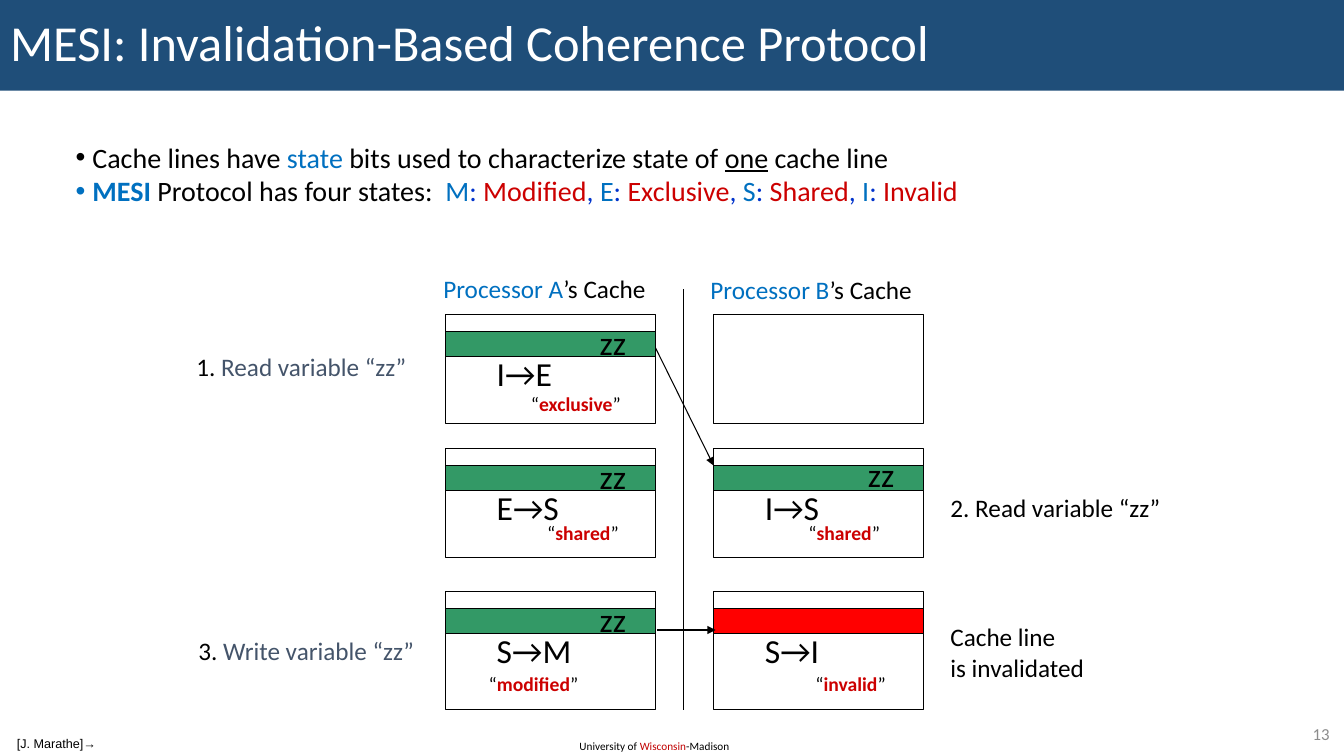
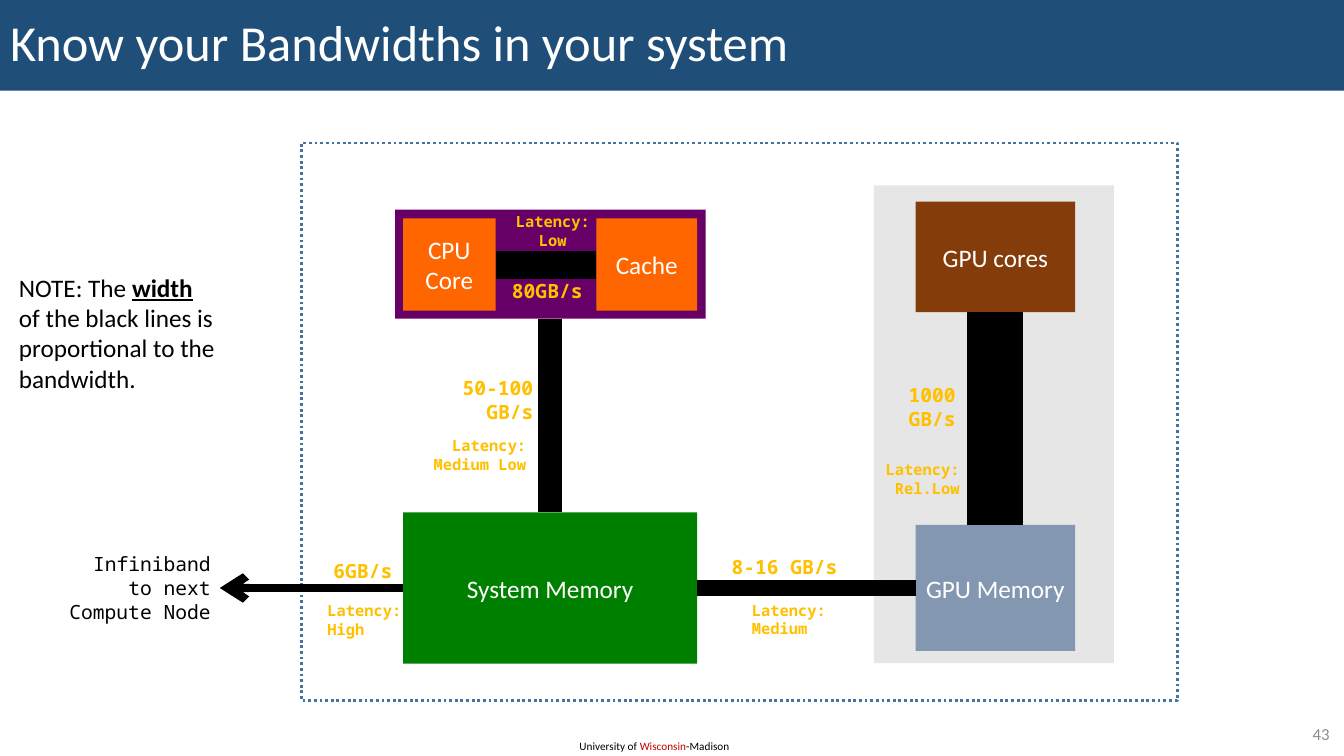
"""Build two lecture slides: the MESI protocol and system bandwidths."""
from lxml import etree
from pptx import Presentation
from pptx.dml.color import RGBColor
from pptx.enum import dml, shapes, text
from pptx.oxml import ns
from pptx.util import Pt

BLACK = RGBColor(0x00, 0x00, 0x00)
WHITE = RGBColor(0xFF, 0xFF, 0xFF)
NAVY = RGBColor(0x1F, 0x4E, 0x79)
BLUE = RGBColor(0x00, 0x70, 0xC0)
ROYAL = RGBColor(0x00, 0x33, 0xCC)
SLATE = RGBColor(0x44, 0x54, 0x6A)
CRIMSON = RGBColor(0xCC, 0x00, 0x00)
DARK_RED = RGBColor(0xC0, 0x00, 0x00)
RED = RGBColor(0xFF, 0x00, 0x00)
SEA_GREEN = RGBColor(0x33, 0x99, 0x66)
GREEN = RGBColor(0x00, 0x80, 0x00)
PURPLE = RGBColor(0x66, 0x00, 0x66)
ORANGE = RGBColor(0xFF, 0x66, 0x00)
BROWN = RGBColor(0x84, 0x3C, 0x0B)
STEEL = RGBColor(0x84, 0x97, 0xB0)
FRAME_BLUE = RGBColor(0x43, 0x73, 0x9E)
PALE_GRAY = RGBColor(0xE7, 0xE6, 0xE6)
GRAY = RGBColor(0x8C, 0x8C, 0x8C)
GOLD = RGBColor(0xFF, 0xC0, 0x00)
MONO = "Noto Sans Mono"
LEFT, CENTER, RIGHT = text.PP_ALIGN.LEFT, text.PP_ALIGN.CENTER, text.PP_ALIGN.RIGHT


def write(tf, lines, size, color=BLACK, font="Calibri", align=LEFT, bold=None, wrap=False):
    tf.word_wrap = wrap
    for i, line in enumerate(lines):
        p = tf.add_paragraph() if i else tf.paragraphs[0]
        p.alignment = align
        p.space_before = Pt(0)
        p.font.name, p.font.size, p.font.bold = font, Pt(size), bold
        p.font.color.rgb = color
        for run in [(line,)] if isinstance(line, str) else line:
            r = p.add_run()
            r.text = run[0]
            if len(run) > 1:
                r.font.color.rgb = run[1]
            if len(run) > 2:
                r.font.bold = "b" in run[2] or None
                r.font.underline = "u" in run[2] or None


def add_rect(s, x, y, w, h, fill=None, line=None, width=0.75):
    sp = s.shapes.add_shape(shapes.MSO_SHAPE.RECTANGLE, Pt(x), Pt(y), Pt(w), Pt(h))
    sp.shadow.inherit = False
    if fill is None:
        sp.fill.background()
    else:
        sp.fill.solid()
        sp.fill.fore_color.rgb = fill
    if line is None:
        sp.line.fill.background()
    else:
        sp.line.color.rgb = line
        sp.line.width = Pt(width)
    return sp


prs = Presentation()
prs.slide_width, prs.slide_height = Pt(960), Pt(540)
labels = []
slides = []
for layout, title, number in [
    (1, "MESI: Invalidation-Based Coherence Protocol", "13"),
    (5, "Know your Bandwidths in your system", "43"),
]:
    s = prs.slides.add_slide(prs.slide_layouts[layout])
    slides.append(s)
    sp = s.shapes.title
    sp.left, sp.top, sp.width, sp.height = Pt(0), Pt(0), Pt(960), Pt(64.8)
    sp.fill.solid()
    sp.fill.fore_color.rgb = NAVY
    tf = sp.text_frame
    tf.auto_size = text.MSO_AUTO_SIZE.NONE
    tf.vertical_anchor = text.MSO_ANCHOR.MIDDLE
    write(tf, [title], 36, WHITE, wrap=True)
    tf.paragraphs[0].line_spacing = 0.9
    labels += [
        (s, 406.8, 524.2, 123.8, 17.3,
         [[("University of ",), ("Wisconsin", DARK_RED), ("-Madison",)]], 8, {}),
        (s, 902.2, 513.4, 54.7, 20.9, [number], 12, dict(color=GRAY, align=RIGHT, wrap=True)),
    ]
mesi, bandwidth = slides

body = mesi.placeholders[1]
body.left, body.top, body.width, body.height = Pt(46.8), Pt(96.5), Pt(708.5), Pt(56)
states = [("MESI ", BLUE, "b"), ("Protocol has four states:  ",)]
for i, state in enumerate(["Modified", "Exclusive", "Shared", "Invalid"]):
    if i:
        states.append((", ", ROYAL))
    states += [(state[0], BLUE), (": ", ROYAL), (state, CRIMSON)]
tf = body.text_frame
tf.auto_size = text.MSO_AUTO_SIZE.NONE
write(tf, [
    [("Cache lines have ",), ("state", BLUE), (" bits used to characterize state of ",),
     ("one", BLACK, "u"), (" cache line",)],
    states,
], 20, wrap=True)
for p in tf.paragraphs:
    pPr = p._p.get_or_add_pPr()
    pPr.set("marL", str(Pt(12)))
    pPr.set("indent", str(Pt(-12)))

COLUMNS = (318.2, 509.8)
ROWS = ((224.6, 78), (320.4, 78), (422.6, 84.2))
for col, row, band, name, change, state, dx, dy, w in [
    (0, 0, SEA_GREEN, "zz", "I→E", "exclusive", 54, 51.8, 79.2),
    (1, 0, None, None, None, None, 0, 0, 0),
    (0, 1, SEA_GREEN, "zz", "E→S", "shared", 65.5, 48.2, 66.2),
    (1, 1, SEA_GREEN, "zz", "I→S", "shared", 60.5, 48.2, 66.2),
    (0, 2, SEA_GREEN, "zz", "S→M", "modified", 23.8, 54, 79.2),
    (1, 2, RED, None, "S→I", "invalid", 65.5, 54, 65.5),
]:
    x, (y, h) = COLUMNS[col], ROWS[row]
    add_rect(mesi, x, y, 150, h, line=BLACK)
    if band is not None:
        add_rect(mesi, x, y + 12.2, 150, 18, band, BLACK)
        labels += [
            (mesi, x + 29.5, y + 24, 80, 36, [change], 24, dict(wrap=True)),
            (mesi, x + dx, y + dy, w, 24.5, [[("“",), (state, CRIMSON, "b"), ("”",)]], 14, {}),
        ]
    if name:
        labels.append((mesi, x + 103, y + 1.6 - 1.6 * col, 36, 36, [name], 24, dict(wrap=True)))

labels += [
    (mesi, 309.6, 191.5, 159.8, 28.8, [[("Processor A", BLUE), ("’s Cache",)]], 18, {}),
    (mesi, 500.4, 192.2, 159.8, 28.8, [[("Processor B", BLUE), ("’s Cache",)]], 18, {}),
    (mesi, 133.2, 247.7, 166.3, 28.8, [[("1. ",), ("Read variable “zz”", SLATE)]], 18, {}),
    (mesi, 671.8, 347.8, 166.3, 28.8, ["2. Read variable “zz”"], 18, {}),
    (mesi, 134.6, 450, 170.6, 28.8, [[("3. ",), ("Write variable “zz”", SLATE)]], 18, {}),
    (mesi, 671.8, 440.6, 110.9, 51.1, ["Cache line", "is invalidated"], 18, {}),
    (mesi, 5, 522, 71.3, 18, ["[J. Marathe]→"], 9, dict(font="Arial")),
]

for x, y, w, h, fill, name in [
    (624.2, 132.5, 171.4, 341.3, PALE_GRAY, None),
    (282.2, 149.8, 221.8, 77.8, PURPLE, None),
    (288, 366, 210, 108, GREEN, "System Memory"),
    (654, 144, 114, 79, BROWN, "GPU cores"),
    (654, 375, 114, 90, STEEL, "GPU Memory"),
    (288, 156, 66, 66, ORANGE, "CPU Core"),
    (426, 156, 72, 66, ORANGE, "Cache"),
]:
    sp = add_rect(bandwidth, x, y, w, h, fill)
    if name:
        sp.text_frame.vertical_anchor = text.MSO_ANCHOR.MIDDLE
        write(sp.text_frame, [name], 18, WHITE, align=CENTER, wrap=True)
node = add_rect(bandwidth, 215.3, 102.2, 625.7, 398.2, line=FRAME_BLUE, width=2)
node.line.dash_style = dml.MSO_LINE.ROUND_DOT

for x, y, w, h, lines, size, align in [
    (322.6, 265, 65.5, 41, ["50-100", "GB/s"], 14, RIGHT),
    (515.5, 393.1, 90.7, 24.5, ["8-16 GB/s"], 14, LEFT),
    (624, 270, 65.8, 41, ["1000", "GB/s"], 14, RIGHT),
    (231.1, 396, 56.9, 24.5, ["6GB/s"], 14, LEFT),
    (358.6, 195.8, 65.5, 24.5, ["80GB/s"], 14, LEFT),
    (226.8, 426.2, 68.4, 33.8, ["Latency:", "High"], 11, LEFT),
    (529.9, 425.5, 68.4, 33.8, ["Latency:", "Medium"], 11, LEFT),
    (301.7, 308.2, 81.4, 33.8, ["Latency:", "Medium Low"], 11, RIGHT),
    (360.7, 148.3, 68.4, 33.8, ["Latency:", "Low"], 11, CENTER),
    (624.2, 325.4, 68.4, 33.8, ["Latency:", "Rel.Low"], 11, RIGHT),
]:
    style = dict(color=GOLD, font=MONO, align=align, bold=True)
    labels.append((bandwidth, x, y, w, h, lines, size, style))
labels += [
    (bandwidth, 34.6, 391, 123.1, 58.3, ["Infiniband to next Compute Node"], 14,
     dict(font=MONO, align=RIGHT, wrap=True)),
    (bandwidth, 6.5, 190.8, 160.6, 94.3,
     [[("NOTE: The ",), ("width", BLACK, "bu")], "of the black lines is",
      "proportional to the", "bandwidth."], 18, {}),
]

for s, x1, y1, x2, y2, width, arrow in [
    (mesi, 488.2, 206.6, 488.2, 506.9, 0.75, None),
    (mesi, 468.2, 248.4, 509.8, 332.6, 0.75, "triangle"),
    (mesi, 469.4, 450, 511.2, 450, 0.75, "triangle"),
    (bandwidth, 498, 420, 654, 420, 12, None),
    (bandwidth, 711, 223, 711, 375, 40, None),
    (bandwidth, 393, 366, 393, 228, 17, None),
    (bandwidth, 426, 189, 354, 189, 20, None),
    (bandwidth, 288, 420, 157, 420, 6, "arrow"),
]:
    c = s.shapes.add_connector(shapes.MSO_CONNECTOR.STRAIGHT, Pt(x1), Pt(y1), Pt(x2), Pt(y2))
    c.line.color.rgb = BLACK
    c.line.width = Pt(width)
    if arrow:
        etree.SubElement(c.line._get_or_add_ln(), ns.qn("a:tailEnd"), type=arrow)
    etree.SubElement(c._element.spPr, ns.qn("a:effectLst"))

for s, x, y, w, h, lines, size, style in labels:
    tf = s.shapes.add_textbox(Pt(x), Pt(y), Pt(w), Pt(h)).text_frame
    tf.auto_size = text.MSO_AUTO_SIZE.SHAPE_TO_FIT_TEXT
    write(tf, lines, size, **style)

prs.save("out.pptx")
